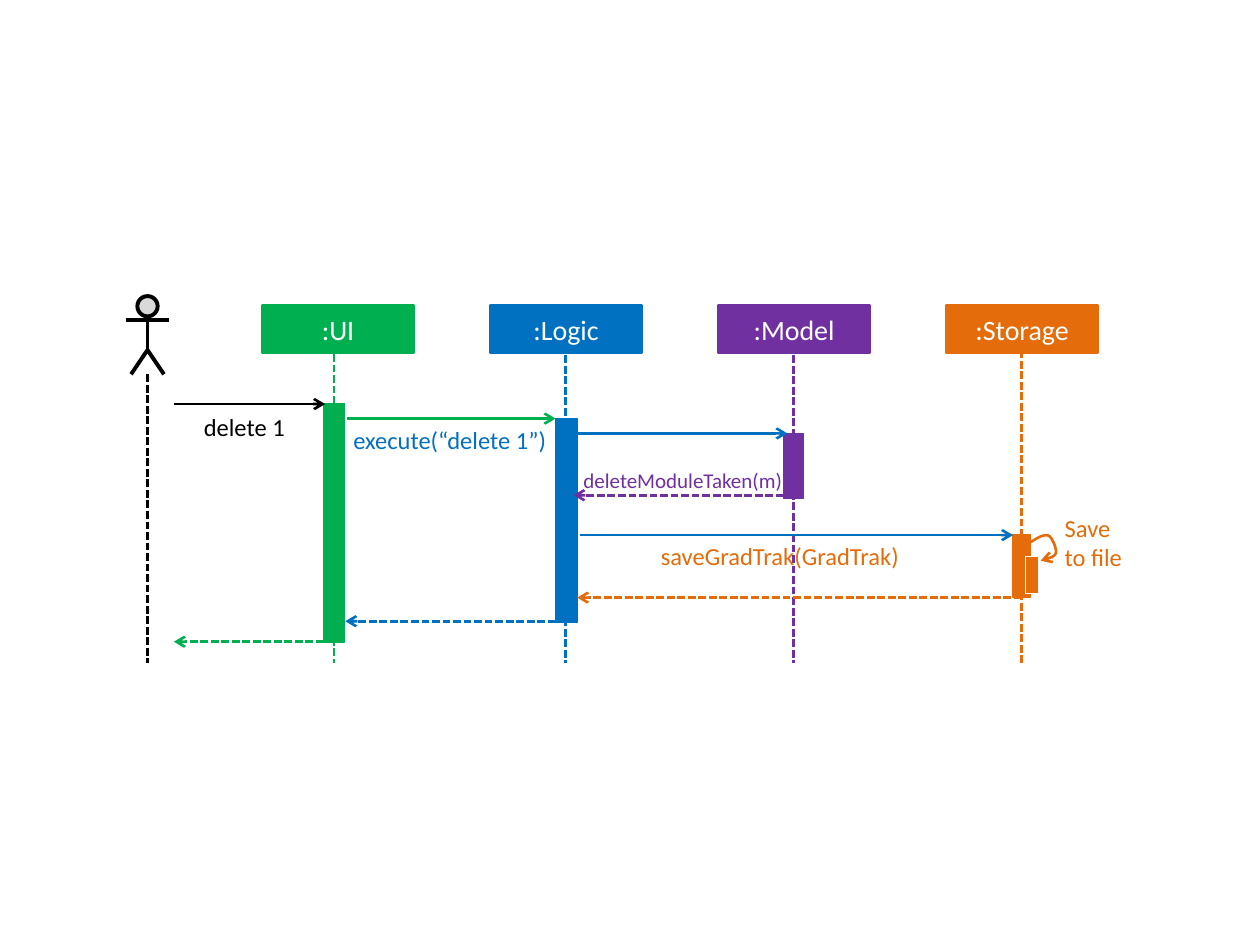
from typing import NamedTuple

from lxml.etree import SubElement
from pptx import Presentation
from pptx.dml.color import RGBColor
from pptx.enum.dml import MSO_LINE as Dash
from pptx.enum.shapes import MSO_CONNECTOR as Link, MSO_SHAPE as Kind
from pptx.enum.text import MSO_ANCHOR as Anchor, PP_ALIGN as Align
from pptx.oxml.ns import qn
from pptx.util import Pt

BLACK = RGBColor(0x00, 0x00, 0x00)
WHITE = RGBColor(0xFF, 0xFF, 0xFF)
GREY = RGBColor(0xD9, 0xD9, 0xD9)
GREEN = RGBColor(0x00, 0xB0, 0x50)
BLUE = RGBColor(0x00, 0x70, 0xC0)
PURPLE = RGBColor(0x70, 0x30, 0xA0)
ORANGE = RGBColor(0xE4, 0x6C, 0x0A)
FONT = "Calibri"
LEFT, STEP, TOP = 150, 130.3, 174.4
WIDE, HIGH, FLOOR = 86.4, 27.4, 378.7


class Part(NamedTuple):
    name: str
    color: RGBColor
    axis: float
    start: float
    bar: tuple


class Call(NamedTuple):
    begin: float
    end: float
    y: float
    color: RGBColor
    dashed: bool = False


class Label(NamedTuple):
    text: str
    box: tuple
    color: RGBColor
    size: float = 14
    align: Align = Align.CENTER


PARTS = [
    Part(":UI", GREEN, 190.8, 202.3, (185, 230.4, 12, 136.5)),
    Part(":Logic", BLUE, 323.3, 203, (317.5, 239, 12.2, 116.6)),
    Part(":Model", PURPLE, 453.6, 203, (447.8, 247.7, 11.2, 37.2)),
    Part(":Storage", ORANGE, 583.9, 200.2, (578.8, 305.3, 10.1, 36)),
]
CALLS = [
    Call(99.4, 185.8, 230.9, BLACK),
    Call(198, 317.5, 239.2, GREEN),
    Call(329, 450, 247.7, BLUE),
    Call(447.8, 327.6, 283, PURPLE, True),
    Call(331.2, 578.9, 305.8, BLUE),
    Call(583.9, 329.8, 341.5, ORANGE, True),
    Call(317.5, 197.3, 355, BLUE, True),
    Call(185, 99.4, 366.7, GREEN, True),
]
LABELS = [
    Label("delete 1", (105.8, 235.6, 67.7, 17), BLACK),
    Label("execute(“delete 1”)", (200.9, 242.9, 112.3, 17), BLUE),
    Label("deleteModuleTaken(m)", (328.3, 267.3, 123.8, 14.5), PURPLE, 12),
    Label("saveGradTrak(GradTrak)", (348.5, 308.9, 194.4, 17), ORANGE),
    Label("Save \vto file", (608.4, 293, 46, 34), ORANGE, 14, Align.LEFT),
]
LOOP = [
    [(594.7, 320.4), (599, 319.7), (602.6, 318.2), (603.4, 316.1)],
    [(603.4, 316.1), (604.1, 313.9), (601.2, 306.7), (599, 306)],
    [(599, 306), (596.2, 305.3), (592.6, 307.4), (588.2, 310.3)],
]


def stroke(item, color: RGBColor, width: float, dashed=False, end=""):
    item.line.color.rgb = color
    item.line.width = Pt(width)
    if dashed:
        item.line.dash_style = Dash.SQUARE_DOT
    props = item._element.spPr
    if end:
        SubElement(props.find(qn("a:ln")), qn("a:" + end), type="arrow")
    if props.find(qn("a:effectLst")) is None:
        SubElement(props, qn("a:effectLst"))


def draw_line(shapes, begin: tuple, end: tuple, color: RGBColor,
              width: float = 1.5, dashed=False, tip=""):
    line = shapes.add_connector(Link.STRAIGHT, *map(Pt, begin + end))
    stroke(line, color, width, dashed, tip)


def draw_shape(shapes, kind: Kind, box: tuple, fill: RGBColor,
               edge: RGBColor, width: float):
    shape = shapes.add_shape(kind, *map(Pt, box))
    shape.shadow.inherit = False
    shape.fill.solid()
    shape.fill.fore_color.rgb = fill
    shape.line.color.rgb = edge
    shape.line.width = Pt(width)
    return shape


def write(frame, text: str, size: float, color: RGBColor, align: Align):
    para = frame.paragraphs[0]
    para.text = text
    para.alignment = align
    para.font.name = FONT
    para.font.size = Pt(size)
    para.font.color.rgb = color


def draw_path(shapes, points: list, color: RGBColor, width: float, end=""):
    first, *rest = [(Pt(x), Pt(y)) for x, y in points]
    pen = shapes.build_freeform(*first)
    pen.add_line_segments(rest, close=False)
    path = pen.convert_to_shape()
    path.fill.background()
    stroke(path, color, width, end=end)


def draw_part(shapes, part: Part, left: float):
    head = draw_shape(shapes, Kind.RECTANGLE, (left, TOP, WIDE, HIGH),
                      part.color, part.color, 1.5)
    head.text_frame.vertical_anchor = Anchor.MIDDLE
    write(head.text_frame, part.name, 16, WHITE, Align.CENTER)
    draw_line(shapes, (part.axis, part.start), (part.axis, FLOOR),
              part.color, dashed=True)
    draw_shape(shapes, Kind.RECTANGLE, part.bar, part.color, part.color, 0.75)


def draw_actor(shapes):
    x = 84.3
    draw_shape(shapes, Kind.FLOWCHART_CONNECTOR, (x - 5.8, 169.2, 11.6, 11.6),
               GREY, BLACK, 2.25)
    draw_line(shapes, (x, 180.6), (x, 200), BLACK, 2.25)
    draw_path(shapes, [(x - 9.4, 213.9), (x, 200), (x + 9.4, 213.9)],
              BLACK, 2.25)
    draw_line(shapes, (x - 12.5, 183), (x + 12.5, 183), BLACK, 2.25)
    draw_line(shapes, (x, 213.9), (x, FLOOR), BLACK, dashed=True)


def draw_call(shapes, call: Call):
    draw_line(shapes, (call.begin, call.y), (call.end, call.y),
              call.color, dashed=call.dashed, tip="tailEnd")


def draw_label(shapes, label: Label):
    frame = shapes.add_textbox(*map(Pt, label.box)).text_frame
    frame.word_wrap = True
    frame.margin_left = frame.margin_right = Pt(0)
    frame.margin_top = frame.margin_bottom = Pt(0)
    write(frame, label.text, label.size, label.color, label.align)


def curve(knots: list, steps: int = 8) -> list:
    points = []
    for i in range(steps):
        t = i / steps
        s = 1 - t
        mix = (s ** 3, 3 * s * s * t, 3 * s * t * t, t ** 3)
        points.append(tuple(sum(m * k[n] for m, k in zip(mix, knots))
                            for n in (0, 1)))
    return points


def main():
    deck = Presentation()
    deck.slide_width, deck.slide_height = Pt(720), Pt(540)
    shapes = deck.slides.add_slide(deck.slide_layouts[6]).shapes
    draw_actor(shapes)
    for i, part in enumerate(PARTS):
        draw_part(shapes, part, LEFT + i * STEP)
    for call in CALLS:
        draw_call(shapes, call)
    points = [p for knots in LOOP for p in curve(knots)] + [LOOP[-1][-1]]
    draw_path(shapes, points, ORANGE, 1.5, "headEnd")
    draw_shape(shapes, Kind.RECTANGLE, (586, 318.2, 7.4, 21.2),
               ORANGE, WHITE, 0.75)
    for label in LABELS:
        draw_label(shapes, label)
    deck.save("out.pptx")


if __name__ == "__main__":
    main()
